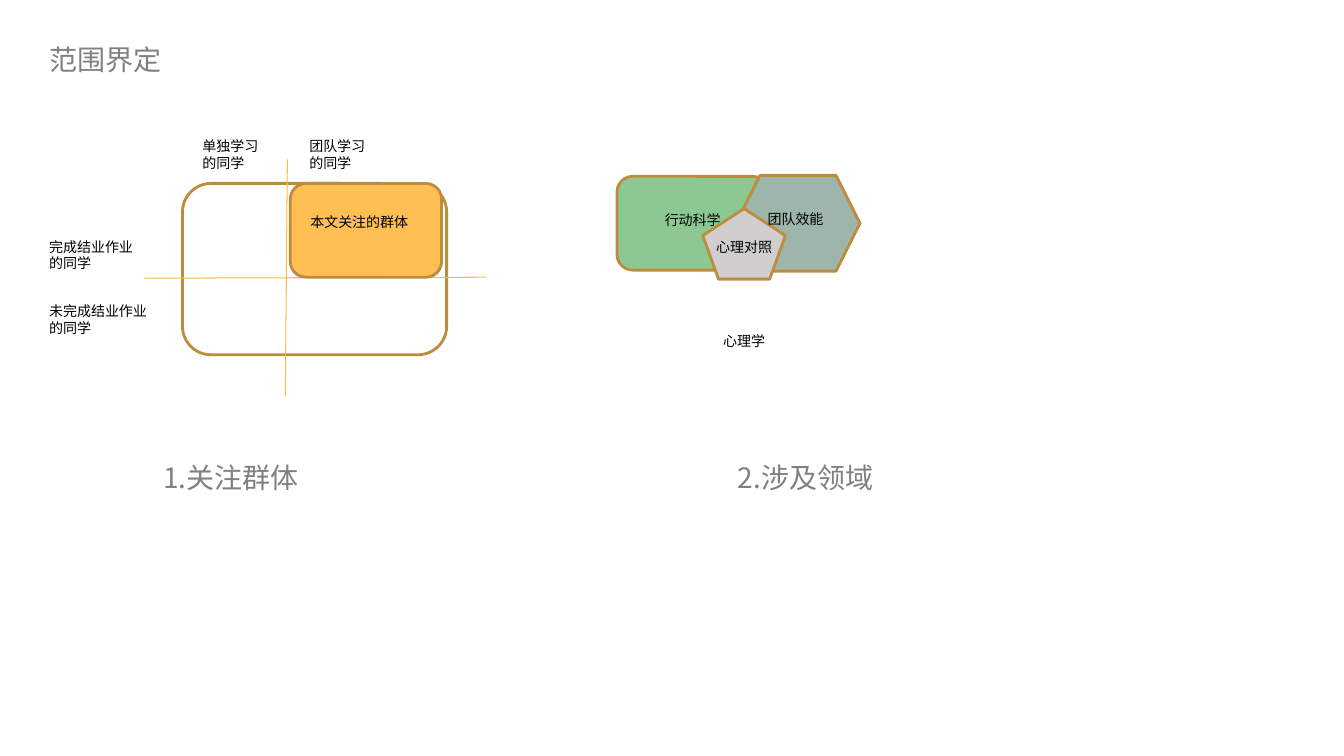
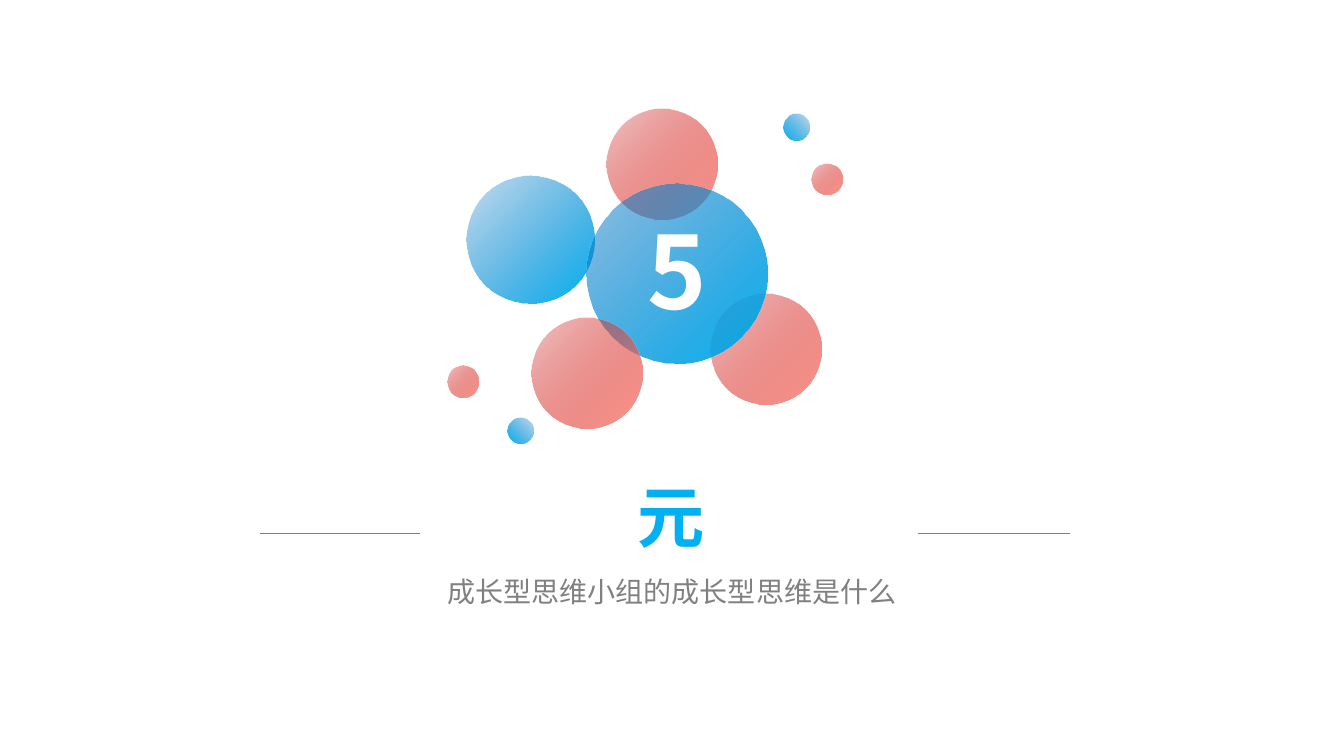
from lxml import etree
from pptx import Presentation
from pptx.dml.color import RGBColor
from pptx.enum.shapes import MSO_CONNECTOR, MSO_SHAPE
from pptx.enum.text import MSO_ANCHOR, MSO_AUTO_SIZE, PP_ALIGN
from pptx.oxml.ns import qn
from pptx.util import Inches, Pt

STRAIGHT = MSO_CONNECTOR.STRAIGHT
OVAL, ROUNDED = MSO_SHAPE.OVAL, MSO_SHAPE.ROUNDED_RECTANGLE
FRAME, HEXAGON = MSO_SHAPE.FLOWCHART_ALTERNATE_PROCESS, MSO_SHAPE.HEXAGON
PENTAGON = MSO_SHAPE.REGULAR_PENTAGON
LEFT, CENTER, MIDDLE = PP_ALIGN.LEFT, PP_ALIGN.CENTER, MSO_ANCHOR.MIDDLE

BLACK, WHITE = RGBColor(0, 0, 0), RGBColor(255, 255, 255)
GREY = RGBColor(0x80, 0x80, 0x80)
BRONZE = RGBColor(0xBD, 0x8D, 0x3D)
GOLD = RGBColor(0xFE, 0xBC, 0x4D)
ORANGE = RGBColor(0xFF, 0xBF, 0x53)
GREEN = RGBColor(0x8B, 0xC8, 0x92)
SAGE = RGBColor(0x9D, 0xB5, 0xAA)
SILVER = RGBColor(0xD0, 0xCE, 0xCE)
SKY = RGBColor(0x00, 0xB0, 0xF0)
BLUE = RGBColor(0x00, 0x70, 0xC0)
RED = RGBColor(0xC0, 0x00, 0x00)
CORAL = RGBColor(0xFE, 0x97, 0x8C)

# Text styles
HEADING = {"name": "Noto Sans CJK SC", "size": Pt(20), "bold": False}
LABEL = {"name": "Calibri", "size": Pt(10), "bold": False}
SECTION = {"name": "Noto Sans CJK SC", "size": Pt(48), "bold": True}
NUMBER = {"name": "Noto Sans CJK SC", "size": Pt(72), "bold": True}


def write(sp, box, text, style, color, align=LEFT):
    sp.left, sp.top, sp.width, sp.height = (Inches(v) for v in box)
    tf = sp.text_frame
    tf.word_wrap, tf.auto_size = True, MSO_AUTO_SIZE.NONE
    tf.vertical_anchor = MIDDLE
    tf.margin_top = tf.margin_bottom = 0
    for i, line in enumerate(text.split("\n")):
        p = tf.add_paragraph() if i else tf.paragraphs[0]
        p.alignment, p.space_before = align, Pt(0)
        r = p.add_run()
        r.text = line
        for key, value in style.items():
            setattr(r.font, key, value)
        r.font.color.rgb = color
        ea = etree.SubElement(r.font._element, qn("a:ea"))
        ea.set("typeface", style["name"])


def add_line(s, x1, y1, x2, y2, color):
    line = s.shapes.add_connector(STRAIGHT, *(Inches(v) for v in (x1, y1, x2, y2)))
    line.line.color.rgb = color
    line.line.width = Pt(0.75)
    etree.SubElement(line._element.spPr, qn("a:effectLst"))


prs = Presentation()
prs.slide_width, prs.slide_height = Inches(13.33), Inches(7.5)

# Slide 1: scope
s = prs.slides.add_slide(prs.slide_layouts[5])
write(s.shapes.title, (0.39, 0.37, 10.47, 0.44), "范围界定", HEADING, GREY)

# Quadrants and overlapping fields, with the axes above the frame
outlines = [
    (FRAME, 1.81, 1.82, 2.62, 1.7, None),
    (ROUNDED, 2.88, 1.82, 1.5, 0.93, ORANGE),
    (ROUNDED, 6.12, 1.75, 1.5, 0.93, GREEN),
    (HEXAGON, 7.3, 1.74, 1.23, 0.95, SAGE),
    (PENTAGON, 6.97, 2.07, 0.82, 0.7, SILVER),
]
for kind, x, y, w, h, color in outlines:
    sp = s.shapes.add_shape(kind, Inches(x), Inches(y), Inches(w), Inches(h))
    sp.shadow.inherit = False
    sp.line.color.rgb = BRONZE
    sp.line.width = Pt(2)
    if color is None:
        sp.fill.background()
        add_line(s, 2.85, 1.58, 2.83, 3.93, GOLD)
        add_line(s, 1.43, 2.76, 4.82, 2.75, GOLD)
    else:
        sp.fill.solid()
        sp.fill.fore_color.rgb = color

# Labels
labels = [
    (0.39, 2.95, 1.34, 0.44, "未完成结业作业\n的同学", LEFT),
    (0.39, 2.31, 1.34, 0.44, "完成结业作业\n的同学", LEFT),
    (1.91, 1.31, 0.93, 0.44, "单独学习\n的同学", LEFT),
    (2.97, 1.31, 0.93, 0.44, "团队学习\n的同学", LEFT),
    (2.98, 2.07, 1.28, 0.27, "本文关注的群体", LEFT),
    (6.23, 2.05, 1.28, 0.27, "行动科学", CENTER),
    (7.25, 2.04, 1.28, 0.27, "团队效能", CENTER),
    (6.74, 3.25, 1.28, 0.27, "心理学", CENTER),
    (6.74, 2.31, 1.28, 0.27, "心理对照", CENTER),
]
for *box, text, align in labels:
    write(s.shapes.add_textbox(0, 0, 0, 0), box, text, LABEL, BLACK, align)

# Captions
for x, text in ((1.52, "1.关注群体"), (7.22, "2.涉及领域")):
    write(s.shapes.add_textbox(0, 0, 0, 0), (x, 4.52, 2.22, 0.44), text, HEADING, GREY)

# Slide 2: section opener
s = prs.slides.add_slide(prs.slide_layouts[0])
write(s.shapes.title, (3.85, 4.62, 5.62, 1), "元", SECTION, SKY, CENTER)
write(s.placeholders[1], (1.43, 5.65, 10.47, 0.44),
      "成长型思维小组的成长型思维是什么", HEADING, GREY, CENTER)

# Bubbles: left, top, diameter, start and end colour, start opacity, angle
bubbles = [
    (6.02, 1.08, 1.1, RED, CORAL, 22, 315),
    (7.05, 2.91, 1.1, RED, CORAL, 22, 315),
    (4.63, 1.74, 1.27, BLUE, SKY, 22, 315),
    (5.82, 1.82, 1.79, BLUE, SKY, 44, 315),
    (7.77, 1.13, 0.26, BLUE, SKY, 22, 225),
    (8.05, 1.62, 0.31, RED, CORAL, 22, 315),
    (5.27, 3.15, 1.1, RED, CORAL, 22, 315),
    (5.03, 4.14, 0.26, BLUE, SKY, 22, 225),
    (4.44, 3.63, 0.31, RED, CORAL, 22, 315),
]
for x, y, d, start, end, opacity, angle in bubbles:
    sp = s.shapes.add_shape(OVAL, Inches(x), Inches(y), Inches(d), Inches(d))
    sp.shadow.inherit = False
    sp.line.fill.background()
    sp.fill.gradient()
    sp.fill.gradient_angle = angle
    for stop, color in zip(sp.fill.gradient_stops, (start, end)):
        stop.color.rgb = color
    first = sp._element.spPr.find(".//" + qn("a:srgbClr"))
    etree.SubElement(first, qn("a:alpha")).set("val", str(opacity * 1000))

# Section number and rules
write(s.shapes.add_textbox(0, 0, 0, 0), (4.73, 1.92, 3.98, 1.5), "5", NUMBER, WHITE, CENTER)
for x1, x2 in ((2.58, 4.17), (9.1, 10.61)):
    add_line(s, x1, 5.29, x2, 5.29, GREY)

prs.save("out.pptx")
